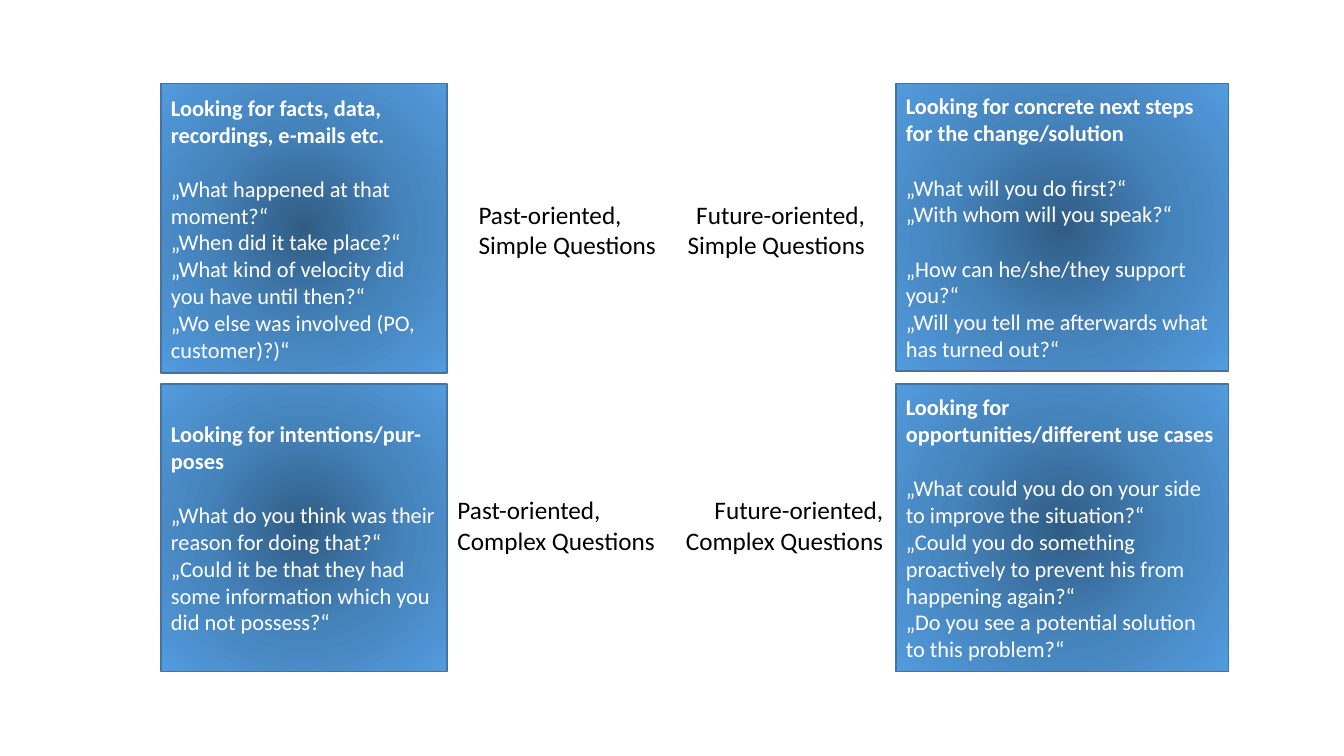
import pptx
import pptx.util
import pptx.oxml
import pptx.oxml.ns
import pptx.dml.color
import pptx.enum.shapes
import pptx.enum.text

Cm, Pt = pptx.util.Cm, pptx.util.Pt
RGB = pptx.dml.color.RGBColor
ALIGN = pptx.enum.text.PP_ALIGN
ANCHOR = pptx.enum.text.MSO_ANCHOR

WHITE = RGB(0xFF, 0xFF, 0xFF)
BLACK = RGB(0, 0, 0)
EDGE = RGB(0x43, 0x73, 0x9E)
STOPS = [
    (0, RGB(0x30, 0x5C, 0x84)),
    (50, RGB(0x45, 0x83, 0xBB)),
    (100, RGB(0x52, 0x9B, 0xDE)),
]

LABELS = [
    ("Past-oriented, Simple Questions", 11.81, 4.9, 5.05, ALIGN.LEFT),
    ("Future-oriented, Simple Questions", 17.0, 4.9, 5.05, ALIGN.RIGHT),
    ("Past-oriented, Complex Questions", 11.28, 12.34, 5.58, ALIGN.LEFT),
    ("Future-oriented, Complex Questions", 16.93, 12.34, 5.58, ALIGN.RIGHT),
]

COLUMNS = [(4.06, 7.21), (22.58, 8.38)]
ROWS = [2.11, 9.68]
TALL = 7.24
GAP = 19.5

BOXES = [
    (0, 0, 0.05, [[
        "Looking for facts, data, recordings, e-mails etc."], [
        "„What happened at that moment?“",
        "„When did it take place?“ „What kind of velocity did you have until then?“",
        "„Wo else was involved (PO, customer)?)“"]]),
    (0, 1, 0, [[
        "Looking for intentions/pur-poses"], [
        "„What do you think was their reason for doing that?“",
        "„Could it be that they had some information which you did not possess?“"]]),
    (1, 0, 0, [[
        "Looking for concrete next steps for the change/solution"], [
        "„What will you do first?“",
        "„With whom will you speak?“"], [
        "„How can he/she/they support you?“",
        "„Will you tell me afterwards what has turned out?“"]]),
    (1, 1, 0, [[
        "Looking for opportunities/different use cases"], [
        "„What could you do on your side to improve the situation?“",
        "„Could you do something proactively to prevent his from happening again?“",
        "„Do you see a potential solution to this problem?“"]]),
]


def style(item, look):
    for key, value in look.items():
        setattr(item, key, value)


def write(para, text, size, color, align, bold=False):
    run = para.add_run()
    run.text = text
    para.alignment = align
    style(run.font, {"name": "Calibri", "size": Pt(size), "bold": bold})
    run.font.color.rgb = color


def glow(shape):
    stops = "".join(
        f'<a:gs pos="{pos * 1000}"><a:srgbClr val="{color}"/></a:gs>'
        for pos, color in STOPS)
    fill = pptx.oxml.parse_xml(
        f'<a:gradFill {pptx.oxml.ns.nsdecls("a")} rotWithShape="1">'
        f'<a:gsLst>{stops}</a:gsLst><a:path path="circle">'
        '<a:fillToRect l="50000" t="50000" r="50000" b="50000"/>'
        '</a:path></a:gradFill>')
    shape._element.spPr.find(pptx.oxml.ns.qn("a:prstGeom")).addnext(fill)


def label(slide, text, left, top, width, align):
    frame = slide.shapes.add_textbox(
        Cm(left), Cm(top), Cm(width), Cm(1.8)).text_frame
    style(frame, {
        "word_wrap": True,
        "auto_size": pptx.enum.text.MSO_AUTO_SIZE.SHAPE_TO_FIT_TEXT})
    write(frame.paragraphs[0], text, 18, BLACK, align)


def box(slide, col, row, extra, groups):
    left, width = COLUMNS[col]
    shape = slide.shapes.add_shape(
        pptx.enum.shapes.MSO_SHAPE.RECTANGLE,
        Cm(left), Cm(ROWS[row]), Cm(width), Cm(TALL + extra))
    shape.shadow.inherit = False
    glow(shape)
    shape.line.color.rgb = EDGE
    shape.line.width = Pt(1)
    frame = shape.text_frame
    style(frame, {"word_wrap": True, "vertical_anchor": ANCHOR.MIDDLE})
    para = frame.paragraphs[0]
    for part, group in enumerate(groups):
        for spot, text in enumerate(group):
            if part or spot:
                para = frame.add_paragraph()
            if part and not spot:
                para.space_before = Pt(GAP)
            write(para, text, 16, WHITE, ALIGN.LEFT, part == 0)


def main():
    deck = pptx.Presentation()
    style(deck, {"slide_width": Cm(33.87), "slide_height": Cm(19.05)})
    slide = deck.slides.add_slide(deck.slide_layouts[6])
    for item in LABELS:
        label(slide, *item)
    for item in BOXES:
        box(slide, *item)
    deck.save("out.pptx")


if __name__ == "__main__":
    main()
